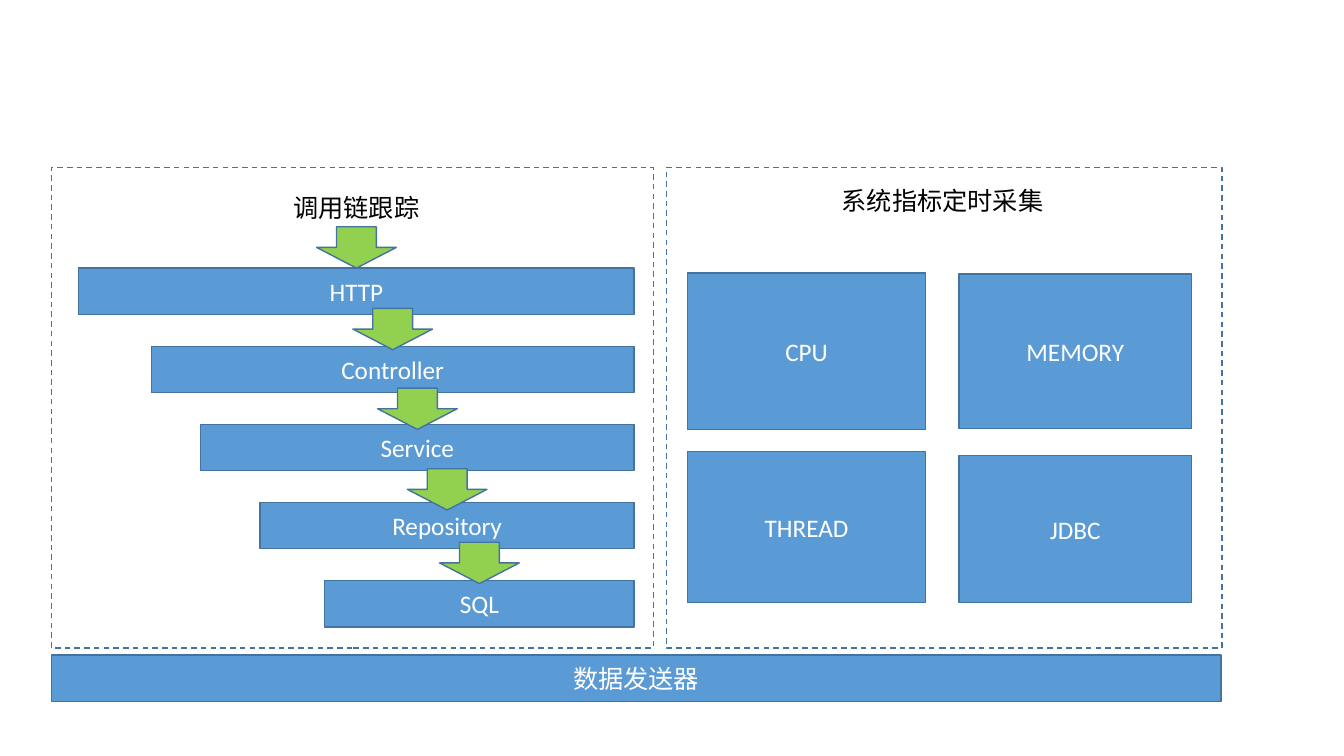
import pptx
import pptx.dml.color
import pptx.enum.dml
import pptx.enum.shapes
import pptx.enum.text
import pptx.util

RGBColor = pptx.dml.color.RGBColor
Shape = pptx.enum.shapes.MSO_SHAPE
BLUE = RGBColor(0x5B, 0x9B, 0xD5)
DARK_BLUE = RGBColor(0x43, 0x73, 0x9E)
GREEN = RGBColor(0x92, 0xD0, 0x50)
WHITE = RGBColor(0xFF, 0xFF, 0xFF)
BLACK = RGBColor(0x00, 0x00, 0x00)


class Diagram:
    """Draws on one slide; lengths are cells of a grid, ten to the inch."""

    cell = pptx.util.Inches(0.1)
    font_name = "Calibri"
    font_size = pptx.util.Pt(18)

    def __init__(self, slide):
        self.shapes = slide.shapes

    def grid(self, *cells):
        return [round(count * self.cell) for count in cells]

    def label(self, box, text, color, alignment):
        para = box.text_frame.paragraphs[0]
        para.text = text
        para.alignment = alignment
        font = para.runs[0].font
        font.name, font.size = self.font_name, self.font_size
        font.color.rgb = color

    def outlined(self, kind, left, top, width, height):
        shape = self.shapes.add_shape(kind, *self.grid(left, top, width, height))
        shape.shadow.inherit = False
        shape.line.color.rgb = DARK_BLUE
        shape.line.width = pptx.util.Pt(1)
        return shape

    def block(self, text, left, top, width, height):
        box = self.outlined(Shape.RECTANGLE, left, top, width, height)
        box.fill.solid()
        box.fill.fore_color.rgb = BLUE
        box.text_frame.vertical_anchor = pptx.enum.text.MSO_ANCHOR.MIDDLE
        self.label(box, text, WHITE, pptx.enum.text.PP_ALIGN.CENTER)

    def arrow(self, center, top, width=7.9, height=4.1):
        arrow = self.outlined(Shape.DOWN_ARROW, center - width / 2, top, width, height)
        arrow.fill.solid()
        arrow.fill.fore_color.rgb = GREEN

    def panel(self, left, top, width, height):
        frame = self.outlined(Shape.RECTANGLE, left, top, width, height)
        frame.fill.background()
        frame.line.dash_style = pptx.enum.dml.MSO_LINE.DASH

    def heading(self, text, left, top, width, height=4):
        box = self.shapes.add_textbox(*self.grid(left, top, width, height))
        box.text_frame.word_wrap = False
        box.text_frame.auto_size = pptx.enum.text.MSO_AUTO_SIZE.SHAPE_TO_FIT_TEXT
        self.label(box, text, BLACK, pptx.enum.text.PP_ALIGN.LEFT)


def draw_call_chain(diagram):
    right, first_top, pitch, bar_height = 62.9, 26.6, 7.75, 4.6
    # Layer name, left edge of its bar, top of the arrow leading into it
    layers = [
        ("HTTP", 7.8, 22.5),
        ("Controller", 15, 30.6),
        ("Service", 19.9, 38.5),
        ("Repository", 25.8, 46.5),
        ("SQL", 32.2, 53.8),
    ]
    for index, (name, left, _) in enumerate(layers):
        diagram.block(name, left, first_top + index * pitch, right - left, bar_height)
    for _, left, arrow_top in layers:
        diagram.arrow((left + right) / 2, arrow_top)
    diagram.heading("调用链跟踪", 28.1, 18.6, 14.6)


def draw_metrics(diagram):
    left_column, right_column = (68.2, 23.6), (95.1, 23.1)
    metrics = [
        ("CPU", left_column, 27.1, 15.5),
        ("MEMORY", right_column, 27.2, 15.3),
        ("THREAD", left_column, 44.8, 15),
        ("JDBC", right_column, 45.2, 14.6),
    ]
    for name, (left, width), top, height in metrics:
        diagram.block(name, left, top, width, height)
    for left, width in ((5.1, 59.7), (66.1, 55.1)):
        diagram.panel(left, 16.6, width, 47.7)
    diagram.heading("系统指标定时采集", 82.5, 17.9, 22.2)


def main():
    deck = pptx.Presentation()
    deck.slide_width = pptx.util.Inches(13.33)
    deck.slide_height = pptx.util.Inches(7.5)
    blank_layout = deck.slide_layouts[6]
    diagram = Diagram(deck.slides.add_slide(blank_layout))
    draw_call_chain(diagram)
    draw_metrics(diagram)
    diagram.block("数据发送器", 5.1, 65, 116, 4.6)
    deck.save("out.pptx")


if __name__ == "__main__":
    main()
